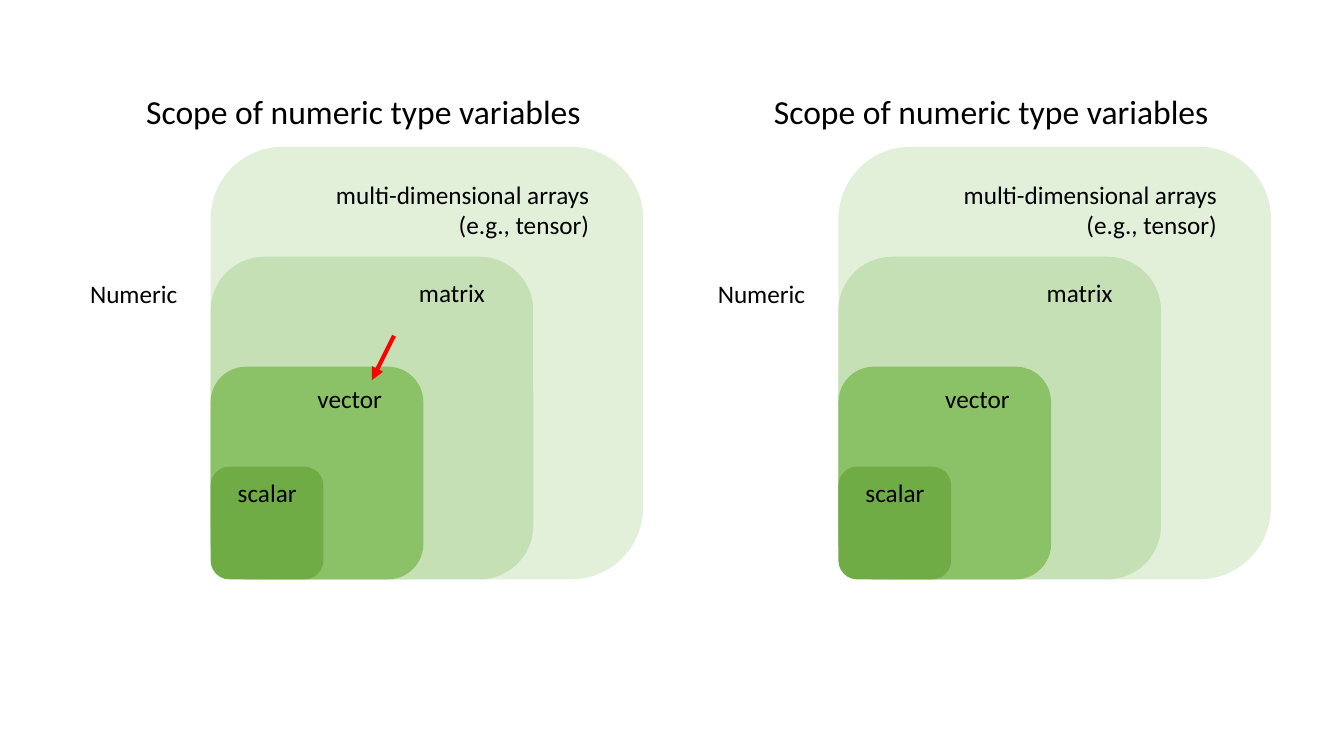
from dataclasses import dataclass

from lxml import etree
from pptx import Presentation
from pptx.dml.color import RGBColor
from pptx.enum.shapes import MSO_CONNECTOR, MSO_SHAPE
from pptx.enum.text import MSO_AUTO_SIZE, PP_ALIGN
from pptx.oxml.ns import qn
from pptx.slide import Slide
from pptx.util import Cm, Pt

ROUNDED = MSO_SHAPE.ROUNDED_RECTANGLE
STRAIGHT = MSO_CONNECTOR.STRAIGHT
FIT_SHAPE = MSO_AUTO_SIZE.SHAPE_TO_FIT_TEXT
LEFT, CENTER, RIGHT = PP_ALIGN.LEFT, PP_ALIGN.CENTER, PP_ALIGN.RIGHT

FONT = "Calibri"
COLORS = {
    "array": "E2F0D9",
    "matrix": "C5E0B4",
    "vector": "8BC167",
    "scalar": "6FAC46",
    "text": "000000",
    "arrow": "FF0000",
}
DIAGRAM_LEFTS = (21.13, 5.31)
DIAGRAM_BOTTOM = 14.6


@dataclass(frozen=True)
class Scope:
    color: str
    side: float


@dataclass(frozen=True)
class Label:
    text: str
    dx: float
    top: float
    width: float
    height: float = 1.02
    size: int = 18
    align: PP_ALIGN = LEFT


SCOPES = (
    Scope("array", 10.9),
    Scope("matrix", 8.13),
    Scope("vector", 5.36),
    Scope("scalar", 2.84),
)
LABELS = (
    Label("scalar", 0.43, 11.91, 2.01),
    Label("vector", 2.44, 9.53, 2.16),
    Label("matrix", 5.0, 6.86, 2.18),
    Label("multi-dimensional arrays\n(e.g., tensor)", 2.83, 4.39, 6.96,
          height=1.8, align=RIGHT),
    Label("Numeric", -3.29, 6.88, 2.74),
    Label("Scope of numeric type variables", -1.94, 2.16, 11.58,
          height=1.27, size=24, align=CENTER),
)


def rgb(name: str) -> RGBColor:
    return RGBColor.from_string(COLORS[name])


def add_scope(s: Slide, scope: Scope, left: float) -> None:
    sp = s.shapes.add_shape(ROUNDED, Cm(left), Cm(DIAGRAM_BOTTOM - scope.side),
                            Cm(scope.side), Cm(scope.side))
    sp.shadow.inherit = False
    sp.fill.solid()
    sp.fill.fore_color.rgb = rgb(scope.color)
    sp.line.fill.background()


def add_text(s: Slide, text: str, *, left: float, top: float, width: float,
             height: float, size: int, align: PP_ALIGN) -> None:
    sp = s.shapes.add_textbox(Cm(left), Cm(top), Cm(width), Cm(height))
    tf = sp.text_frame
    tf.word_wrap = False
    tf.auto_size = FIT_SHAPE
    tf.text = text
    for p in tf.paragraphs:
        p.alignment = align
        for r in p.runs:
            r.font.name = FONT
            r.font.size = Pt(size)
            r.font.color.rgb = rgb("text")


def add_diagram(s: Slide, left: float) -> None:
    for scope in SCOPES:
        add_scope(s, scope, left)
    for label in LABELS:
        add_text(s, label.text, left=left + label.dx, top=label.top,
                 width=label.width, height=label.height,
                 size=label.size, align=label.align)


def add_arrow(s: Slide, x1: float, y1: float, x2: float, y2: float) -> None:
    arrow = s.shapes.add_connector(STRAIGHT, Cm(x1), Cm(y1), Cm(x2), Cm(y2))
    arrow.line.color.rgb = rgb("arrow")
    arrow.line.width = Pt(3)
    etree.SubElement(arrow.line._get_or_add_ln(), qn("a:tailEnd"), type="triangle")
    etree.SubElement(arrow._element.spPr, qn("a:effectLst"))


def main() -> None:
    prs = Presentation()
    prs.slide_width, prs.slide_height = Cm(33.87), Cm(19.05)
    s = prs.slides.add_slide(prs.slide_layouts[6])
    for left in DIAGRAM_LEFTS:
        add_diagram(s, left)
    add_arrow(s, 9.93, 8.46, 9.37, 9.58)
    prs.save("out.pptx")


if __name__ == "__main__":
    main()
